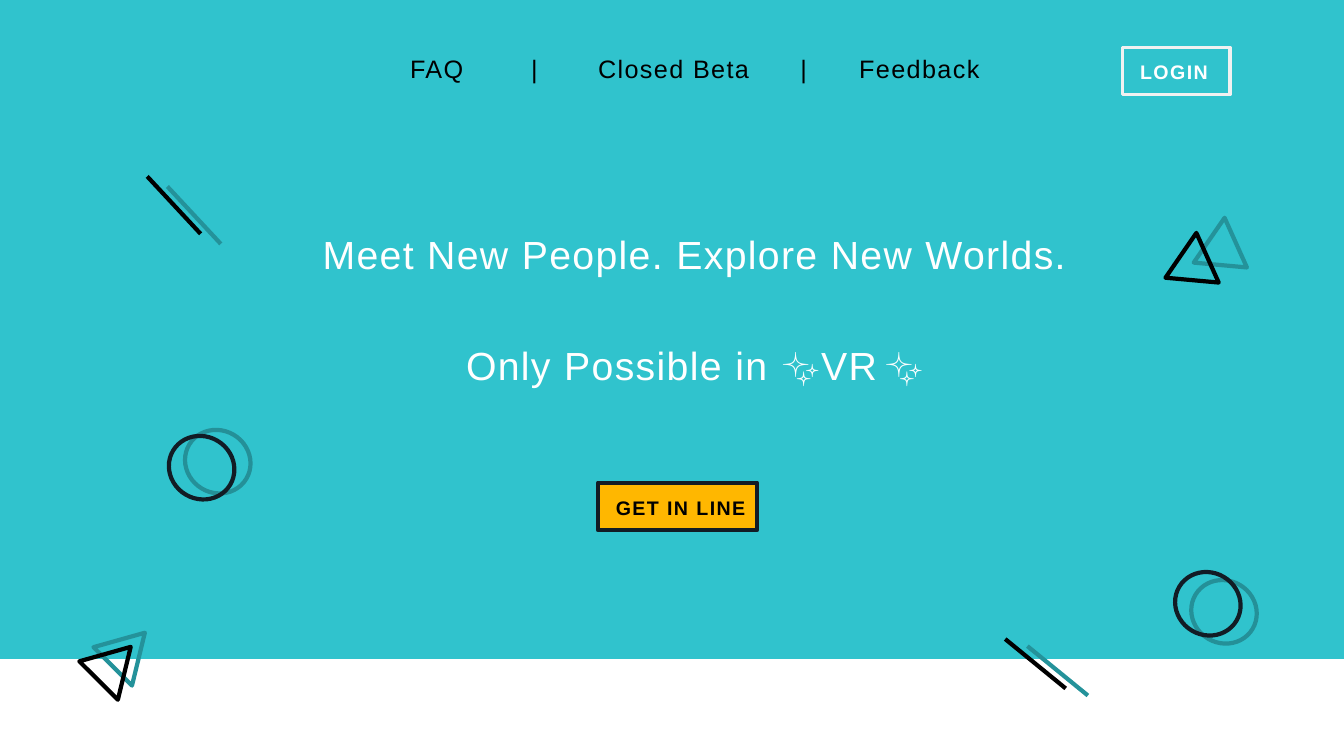
from pptx import Presentation
from pptx.dml.color import RGBColor
from pptx.enum.shapes import MSO_CONNECTOR as Connector, MSO_SHAPE as Shape
from pptx.enum.text import PP_ALIGN as Align
from pptx.oxml.ns import qn
from pptx.util import Inches, Pt
from lxml import etree

TEAL, SHADE, INK = "30C3CD", "24929A", "121C25"
BLACK, WHITE = "000000", "FFFFFF"


def color(hex_code):
    return RGBColor.from_string(hex_code)


def add_figure(shapes, kind, box, fill=None, line=None, width=3, angle=0):
    figure = shapes.add_shape(kind, *map(Inches, box))
    figure.shadow.inherit = False
    figure.rotation = angle
    if fill:
        figure.fill.solid()
        figure.fill.fore_color.rgb = color(fill)
    else:
        figure.fill.background()
    if line:
        figure.line.color.rgb = color(line)
        figure.line.width = Pt(width)
    else:
        figure.line.fill.background()
    return figure


def add_frame(shapes, box):
    frame = shapes.add_textbox(*map(Inches, box)).text_frame
    frame.word_wrap = True
    return frame


def style_para(para, size, ink, bold=False):
    para.font.name = "Arial"
    para.font.size = Pt(size)
    para.font.bold = bold
    para.font.color.rgb = color(ink)


def add_span(para, text):
    span = para.add_run()
    span.text = text
    span.font._element.set("spc", "100")  # letter spacing of 1 pt
    return span


# Navigation: entries centred on tab stops
def add_navigation(page, box):
    entries = {"FAQ": 2.01, "|": 2.98, "Closed Beta": 4.36, "| ": 5.65, "Feedback": 6.79}
    para = add_frame(page.shapes, box).paragraphs[0]
    style_para(para, 18, BLACK)
    stops = etree.Element(qn("a:tabLst"))
    for stop in entries.values():
        etree.SubElement(stops, qn("a:tab"), pos=str(Inches(stop)), algn="ctr")
    para._p.get_or_add_pPr().insert(0, stops)
    add_span(para, "".join("\t" + entry.strip() for entry in entries))


# Headline: two widely spaced lines
def add_headline(page, box):
    frame = add_frame(page.shapes, box)
    first, second = frame.paragraphs[0], frame.add_paragraph()
    for para, gap in ((first, 0), (second, 49)):
        style_para(para, 28, WHITE)
        para.alignment = Align.CENTER
        para.line_spacing = 0.9
        para.space_before = Pt(gap)
    add_span(first, "Meet New People. Explore New Worlds.")
    add_span(second, "Only Possible in ✨VR")
    add_span(second, " ").font.size = Pt(10)
    add_span(second, "✨")


# Button: framed box with a bold label
def add_button(page, box, label, label_width, ink, fill, line, width):
    left, top = box[:2]
    shapes = page.shapes.add_group_shape().shapes
    add_figure(shapes, Shape.RECTANGLE, box, fill, line, width)
    frame = add_frame(shapes, (left + 0.08, top + 0.08, label_width, 0.34))
    para = frame.paragraphs[0]
    style_para(para, 14, ink, bold=True)
    add_span(para, label)


# Outline with a shaded twin behind it
def add_twin_figure(page, kind, box, shift, angle, front, back, fill):
    left, top, width, height = box
    twin = (left + shift[0], top + shift[1], width, height)
    add_figure(page.shapes, kind, twin, fill, back, angle=angle)
    add_figure(page.shapes, kind, box, None, front, angle=angle)


# Slanted stroke with a shaded twin beside it
def add_twin_stroke(page, box, shift):
    left, top, width, height = box
    shapes = page.shapes.add_group_shape().shapes
    for ink, dx, dy in ((BLACK, 0, 0), (SHADE, *shift)):
        x, y = left + dx, top + dy
        ends = map(Inches, (x, y, x + width, y + height))
        stroke = shapes.add_connector(Connector.STRAIGHT, *ends)
        stroke.line.color.rgb = color(ink)
        stroke.line.width = Pt(3)
        etree.SubElement(stroke._element.spPr, qn("a:effectLst"))


def add_decorations(page):
    triangles = (
        ((11.58, 2.31), (0.28, -0.15), 5.2, TEAL),
        ((0.84, 6.48), (0.14, -0.14), 164.3, None),
    )
    for corner, shift, angle, fill in triangles:
        add_twin_figure(page, Shape.ISOSCELES_TRIANGLE, (*corner, 0.53, 0.47),
                        shift, angle, BLACK, SHADE, fill)
    circles = (((11.65, 5.68), (0.16, 0.08)), ((1.67, 4.33), (0.16, -0.06)))
    for corner, shift in circles:
        add_twin_figure(page, Shape.OVAL, (*corner, 0.66, 0.62),
                        shift, 30.8, INK, "249098", TEAL)
    add_twin_stroke(page, (1.46, 1.75, 0.53, 0.57), (0.2, 0.1))
    add_twin_stroke(page, (9.97, 6.34, 0.6, 0.49), (0.22, 0.07))


def add_landing_page(deck):
    page = deck.slides.add_slide(deck.slide_layouts[6])
    page.background.fill.solid()
    page.background.fill.fore_color.rgb = color(TEAL)
    add_figure(page.shapes, Shape.RECTANGLE, (0, 6.54, 13.33, 0.96), WHITE)
    add_headline(page, (2.4, 2.29, 8.98, 1.65))
    add_button(page, (5.93, 4.79, 1.58, 0.47), "GET IN LINE", 1.77,
               BLACK, "FFB700", INK, 3)
    add_navigation(page, (2.23, 0.48, 9.25, 0.4))
    add_button(page, (11.13, 0.47, 1.07, 0.47), "LOGIN", 2.14,
               WHITE, None, "F1F1F1", 2.25)
    add_decorations(page)


def main():
    deck = Presentation()
    deck.slide_width, deck.slide_height = Inches(13.33), Inches(7.5)
    add_landing_page(deck)
    deck.save("out.pptx")


if __name__ == "__main__":
    main()
